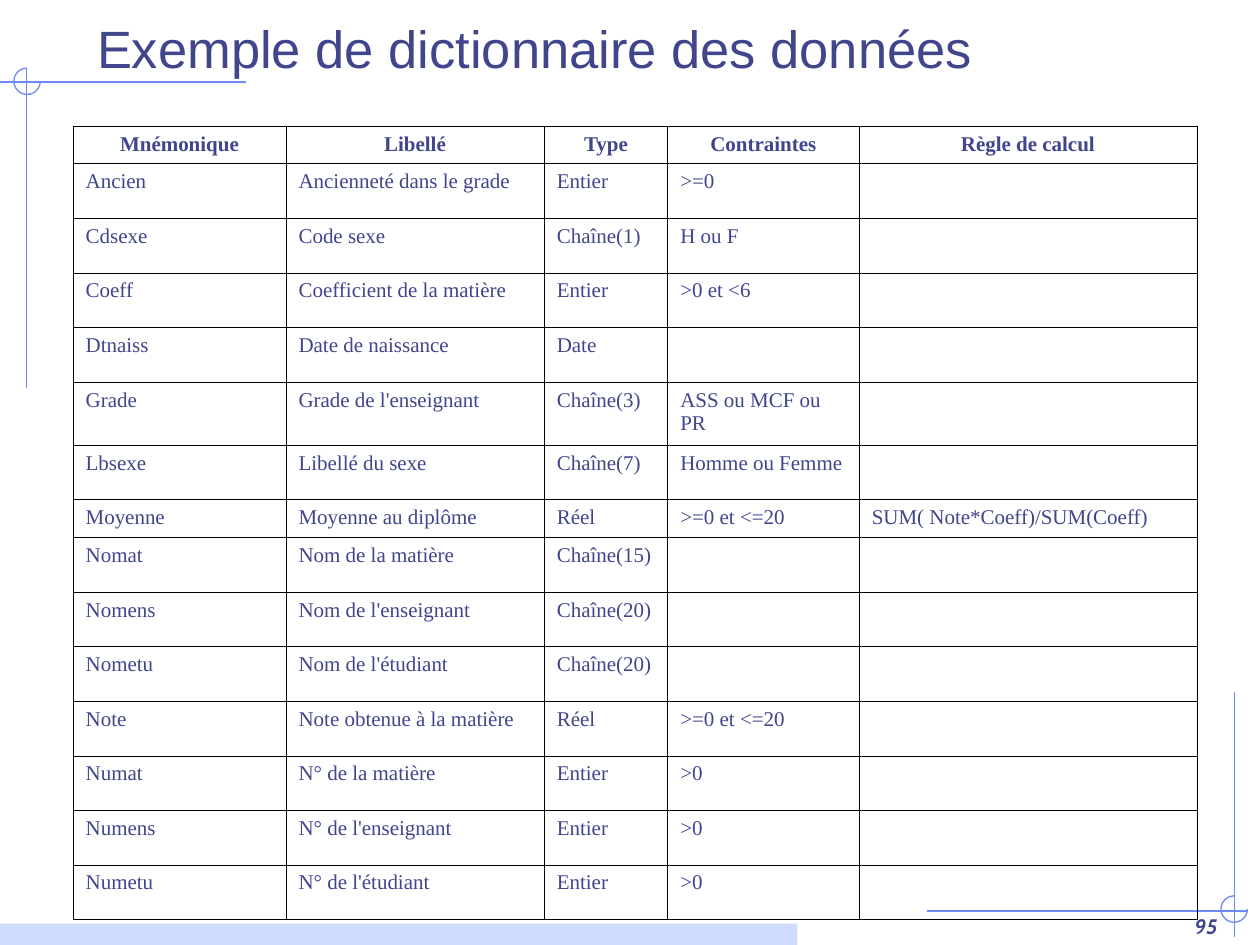
from lxml import etree
from pptx import Presentation
from pptx.dml.color import RGBColor
from pptx.enum.shapes import MSO_CONNECTOR, MSO_SHAPE
from pptx.enum.text import MSO_ANCHOR, MSO_AUTO_SIZE, PP_ALIGN
from pptx.oxml import parse_xml
from pptx.oxml.ns import nsdecls, qn
from pptx.util import Inches, Pt

TITLE = "Exemple de dictionnaire des données"
PAGE = "95"
HEAD = ("Mnémonique", "Libellé", "Type", "Contraintes", "Règle de calcul")
DATA = [
    ("Ancien", "Ancienneté dans le grade", "Entier", ">=0", ""),
    ("Cdsexe", "Code sexe", "Chaîne(1)", "H ou F", ""),
    ("Coeff", "Coefficient de la matière", "Entier", ">0 et <6", ""),
    ("Dtnaiss", "Date de naissance", "Date", "", ""),
    ("Grade", "Grade de l'enseignant", "Chaîne(3)", "ASS ou MCF ou PR", ""),
    ("Lbsexe", "Libellé du sexe", "Chaîne(7)", "Homme ou Femme", ""),
    ("Moyenne", "Moyenne au diplôme", "Réel", ">=0 et <=20",
     "SUM( Note*Coeff)/SUM(Coeff)"),
    ("Nomat", "Nom de la matière", "Chaîne(15)", "", ""),
    ("Nomens", "Nom de l'enseignant", "Chaîne(20)", "", ""),
    ("Nometu", "Nom de l'étudiant", "Chaîne(20)", "", ""),
    ("Note", "Note obtenue à la matière", "Réel", ">=0 et <=20", ""),
    ("Numat", "N° de la matière", "Entier", ">0", ""),
    ("Numens", "N° de l'enseignant", "Entier", ">0", ""),
    ("Numetu", "N° de l'étudiant", "Entier", ">0", ""),
]
COLS = (1.69, 2.05, 0.98, 1.52, 2.68)
HIGH = 6.3
FIXED = {0: 0.3, 5: 0.5, 7: 0.3}
LINES = [
    (1.95, 0.65, 0, 0.65),
    (0.21, 0.55, 0.21, 3.08),
    (9.8, 5.49, 9.8, 7.44),
    (9.9, 7.23, 7.36, 7.23),
]
ARCS = [(0.11, 0.54), (9.69, 7.11)]

INK = RGBColor(0x40, 0x45, 0x8C)
BLUE = RGBColor(0x6F, 0x89, 0xF7)
PALE = RGBColor(0xCF, 0xDB, 0xFD)
BLACK = RGBColor(0, 0, 0)
SERIF = "Times New Roman"
LEFT, CENTER, RIGHT = PP_ALIGN.LEFT, PP_ALIGN.CENTER, PP_ALIGN.RIGHT


def write(frame, text, size, face, align=LEFT, bold=False, italic=False):
    para = frame.paragraphs[0]
    para.alignment = align
    run = para.add_run()
    run.text = text
    font = run.font
    font.size, font.name = Pt(size), face
    font.bold, font.italic = bold, italic
    font.color.rgb = INK


def stroke(shape):
    shape.line.color.rgb = BLUE
    shape.line.width = Pt(0.75)


def border(cell):
    props = cell._tc.get_or_add_tcPr()
    for spot, side in enumerate(("lnL", "lnR", "lnT", "lnB")):
        props.insert(spot, parse_xml(
            f'<a:{side} {nsdecls("a")} w="{Pt(0.45)}"><a:solidFill>'
            f'<a:srgbClr val="{BLACK}"/></a:solidFill></a:{side}>'))


def decorate(shapes):
    for ends in LINES:
        line = shapes.add_connector(
            MSO_CONNECTOR.STRAIGHT, *map(Inches, ends))
        stroke(line)
        etree.SubElement(line._element.spPr, qn("a:effectLst"))
    for left, top in ARCS:
        arc = shapes.add_shape(
            MSO_SHAPE.ARC, *map(Inches, (left, top, 0.21, 0.21)))
        arc.adjustments[0] = 0
        arc.adjustments[1] = 270 * 0.6
        arc.shadow.inherit = False
        arc.fill.background()
        stroke(arc)
    bar = shapes.add_shape(
        MSO_SHAPE.RECTANGLE, *map(Inches, (0, 7.33, 6.33, 0.17)))
    bar.shadow.inherit = False
    bar.fill.solid()
    bar.fill.fore_color.rgb = PALE
    bar.line.fill.background()


def tabulate(shapes):
    rows = [HEAD] + DATA
    tall = (HIGH - sum(FIXED.values())) / (len(rows) - len(FIXED))
    table = shapes.add_table(
        len(rows), len(COLS),
        *map(Inches, (0.58, 1, sum(COLS), HIGH))).table
    table.first_row = table.horz_banding = False
    for col, wide in zip(table.columns, COLS):
        col.width = Inches(wide)
    for r, texts in enumerate(rows):
        table.rows[r].height = Inches(FIXED.get(r, tall))
        for c, text in enumerate(texts):
            cell = table.cell(r, c)
            cell.fill.background()
            border(cell)
            if text:
                write(cell.text_frame, text, 12, SERIF,
                      LEFT if r else CENTER, bold=r == 0)


def main():
    deck = Presentation()
    deck.slide_width, deck.slide_height = Inches(10), Inches(7.5)
    slide = deck.slides.add_slide(deck.slide_layouts[5])
    shapes = slide.shapes
    decorate(shapes)

    page = shapes.add_textbox(*map(Inches, (7.68, 7, 2.08, 0.5)))
    frame = page.text_frame
    frame.word_wrap = True
    frame.vertical_anchor = MSO_ANCHOR.BOTTOM
    write(frame, PAGE, 12, "Cabin", RIGHT, bold=True, italic=True)

    title = shapes.title
    title.left, title.top = Inches(0.67), Inches(0.01)
    title.width, title.height = Inches(9.08), Inches(0.67)
    title.text_frame.auto_size = MSO_AUTO_SIZE.NONE
    title.text_frame.vertical_anchor = MSO_ANCHOR.BOTTOM
    write(title.text_frame, TITLE, 30, "Arial")

    tabulate(shapes)
    deck.save("out.pptx")


if __name__ == "__main__":
    main()
